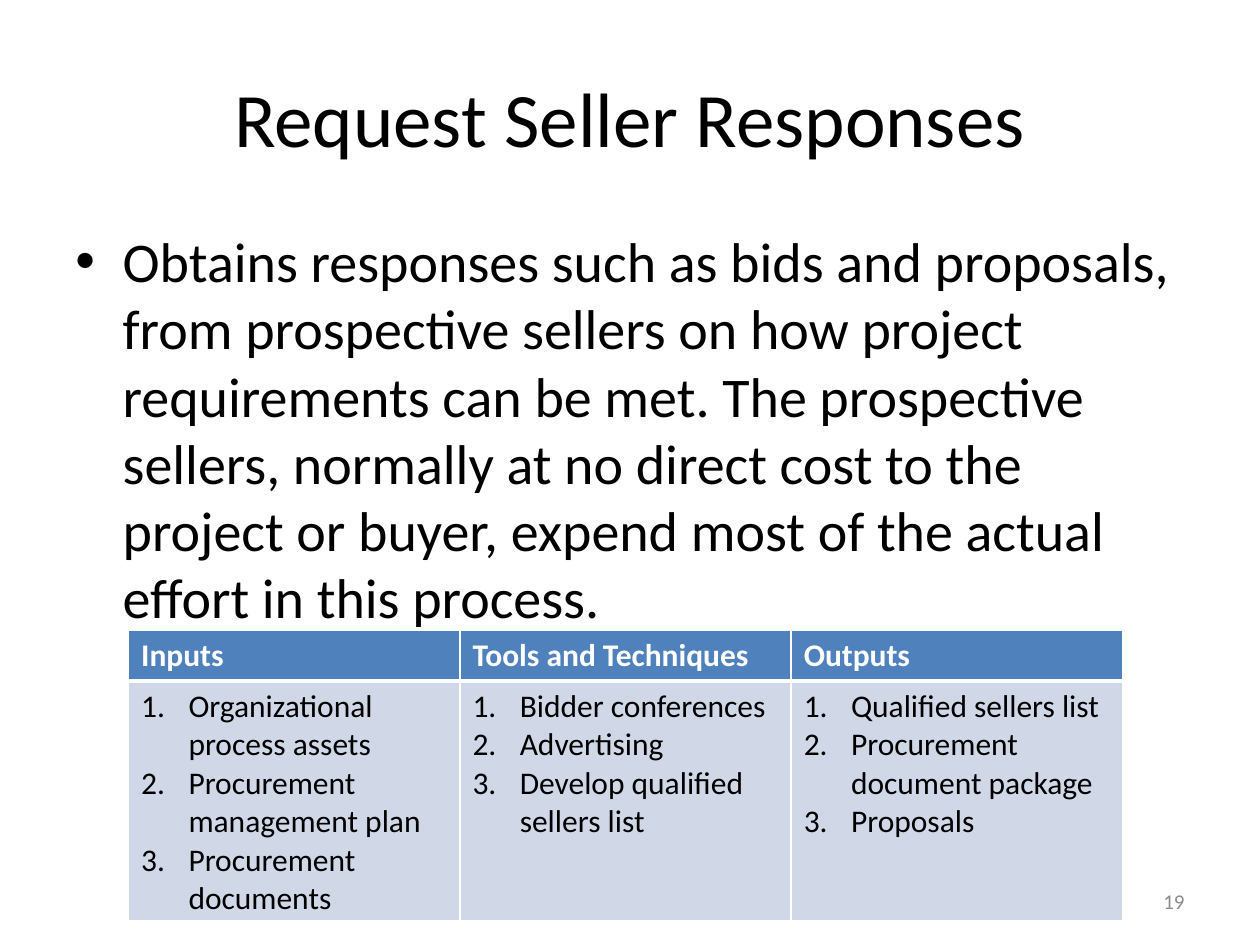
from lxml.etree import SubElement
from pptx import Presentation
from pptx.dml.color import RGBColor
from pptx.enum.text import MSO_ANCHOR, PP_ALIGN
from pptx.oxml.ns import qn
from pptx.util import Pt

BLACK = RGBColor(0x00, 0x00, 0x00)
WHITE = RGBColor(0xFF, 0xFF, 0xFF)
GRAY = RGBColor(0x8C, 0x8C, 0x8C)
HEADER_BLUE = RGBColor(0x4F, 0x81, 0xBD)
BODY_BLUE = RGBColor(0xD0, 0xD8, 0xE8)

FONT = "Calibri"
INDENT = Pt(27)

DESCRIPTION = (
    "Obtains responses such as bids and proposals, from prospective sellers "
    "on how project requirements can be met. The prospective sellers, normally "
    "at no direct cost to the project or buyer, expend most of the actual "
    "effort in this process."
)
PROCESS = {
    "Inputs": [
        "Organizational process assets",
        "Procurement management plan",
        "Procurement documents",
    ],
    "Tools and Techniques": [
        "Bidder conferences",
        "Advertising",
        "Develop qualified sellers list",
    ],
    "Outputs": [
        "Qualified sellers list",
        "Procurement document package",
        "Proposals",
    ],
}


def add_marker(paragraph, numbered):
    """Give a paragraph a hanging indent with a bullet or a number."""
    properties = paragraph._p.get_or_add_pPr()
    properties.set("marL", str(INDENT))
    properties.set("indent", str(-INDENT))
    SubElement(properties, qn("a:buFont"), typeface=FONT if numbered else "Arial")
    if numbered:
        SubElement(properties, qn("a:buAutoNum"), type="arabicPeriod")
    else:
        SubElement(properties, qn("a:buChar"), char="•")


def write_text(paragraph, text, *, size, color=BLACK, bold=False,
               align=PP_ALIGN.LEFT, marker=None):
    paragraph.alignment = align
    if marker:
        add_marker(paragraph, numbered=marker == "number")
    run = paragraph.add_run()
    run.text = text
    run.font.name = FONT
    run.font.size = Pt(size)
    run.font.bold = bold
    run.font.color.rgb = color


def add_text_box(slide, left, top, width, height, text,
                 anchor=MSO_ANCHOR.MIDDLE, **text_format):
    shape = slide.shapes.add_textbox(Pt(left), Pt(top), Pt(width), Pt(height))
    frame = shape.text_frame
    frame.word_wrap = True
    frame.vertical_anchor = anchor
    write_text(frame.paragraphs[0], text, **text_format)


def style_cell(cell, fill, top=1, bottom=1):
    """Fill a cell and draw its white borders, which precede the fill in XML."""
    cell.fill.solid()
    cell.fill.fore_color.rgb = fill
    properties = cell._tc.get_or_add_tcPr()
    borders = {"a:lnL": 1, "a:lnR": 1, "a:lnT": top, "a:lnB": bottom}
    for position, (tag, width) in enumerate(borders.items()):
        line = SubElement(properties, qn(tag), w=str(Pt(width)))
        solid = SubElement(line, qn("a:solidFill"))
        SubElement(solid, qn("a:srgbClr"), val=str(WHITE))
        properties.insert(position, line)


def add_process_table(slide, left, top, column_width, row_heights):
    frame = slide.shapes.add_table(
        2, len(PROCESS), Pt(left), Pt(top),
        Pt(column_width * len(PROCESS)), Pt(sum(row_heights)))
    table = frame.table
    for row, height in zip(table.rows, row_heights):
        row.height = Pt(height)

    for index, (heading, items) in enumerate(PROCESS.items()):
        table.columns[index].width = Pt(column_width)
        header, body = table.cell(0, index), table.cell(1, index)

        style_cell(header, HEADER_BLUE, bottom=3)
        write_text(header.text_frame.paragraphs[0], heading,
                   size=18, color=WHITE, bold=True)

        style_cell(body, BODY_BLUE, top=3)
        for number, item in enumerate(items):
            text_frame = body.text_frame
            paragraph = text_frame.add_paragraph() if number else text_frame.paragraphs[0]
            write_text(paragraph, item, size=18, marker="number")


def main():
    presentation = Presentation()
    presentation.slide_width = Pt(720)
    presentation.slide_height = Pt(540)
    slide = presentation.slides.add_slide(presentation.slide_layouts[6])

    # Title and description
    add_text_box(slide, 36, 21.6, 648, 90, "Request Seller Responses",
                 size=44, align=PP_ALIGN.CENTER)
    add_text_box(slide, 36, 126, 648, 356.4, DESCRIPTION,
                 anchor=MSO_ANCHOR.TOP, size=32, marker="bullet")

    # Inputs, techniques and outputs
    add_process_table(slide, 73.5, 360, 189.3, [29.2, 137.2])

    # Slide number
    add_text_box(slide, 516, 500.5, 168, 28.8, "19",
                 size=12, color=GRAY, align=PP_ALIGN.RIGHT)

    presentation.save("out.pptx")


if __name__ == "__main__":
    main()
